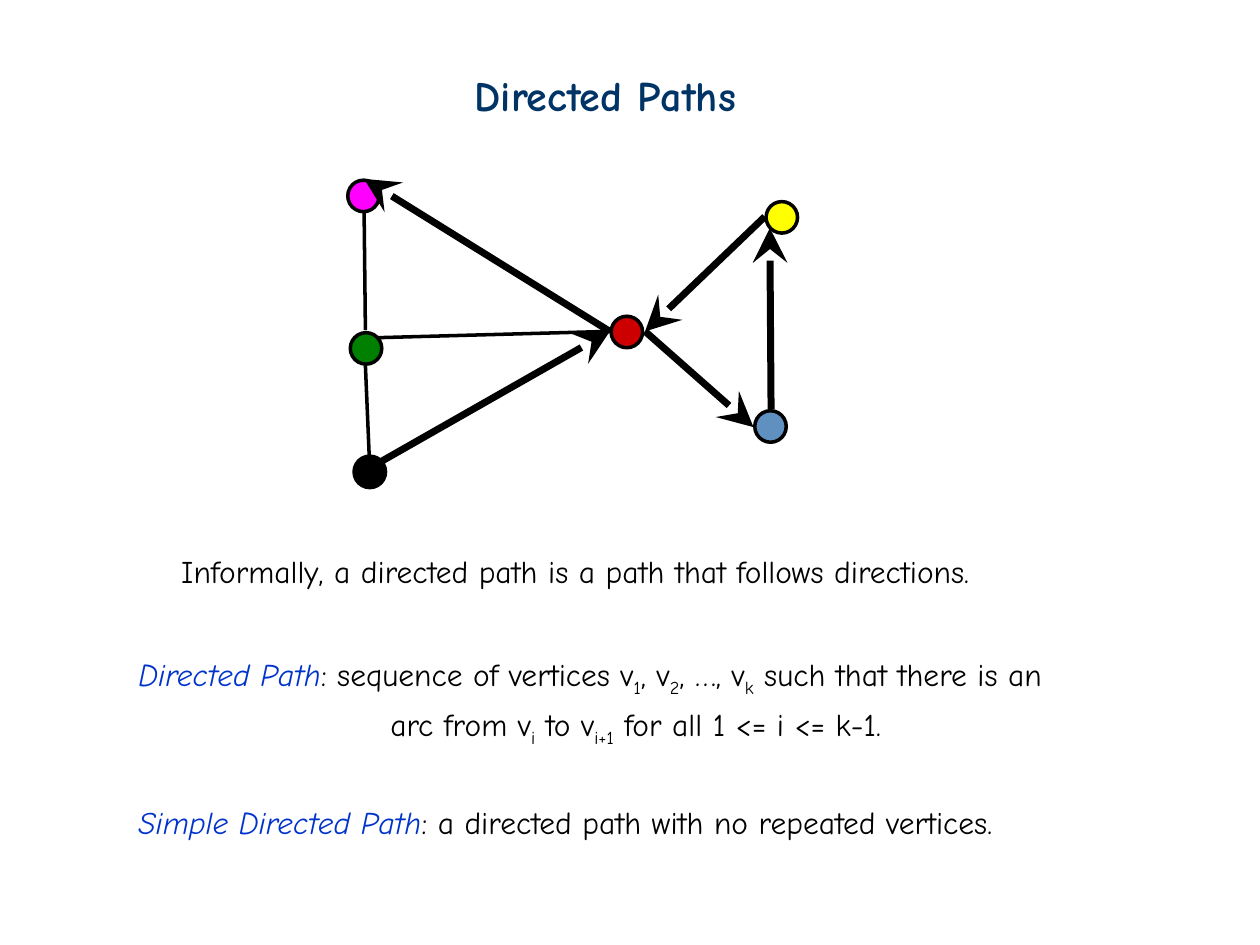
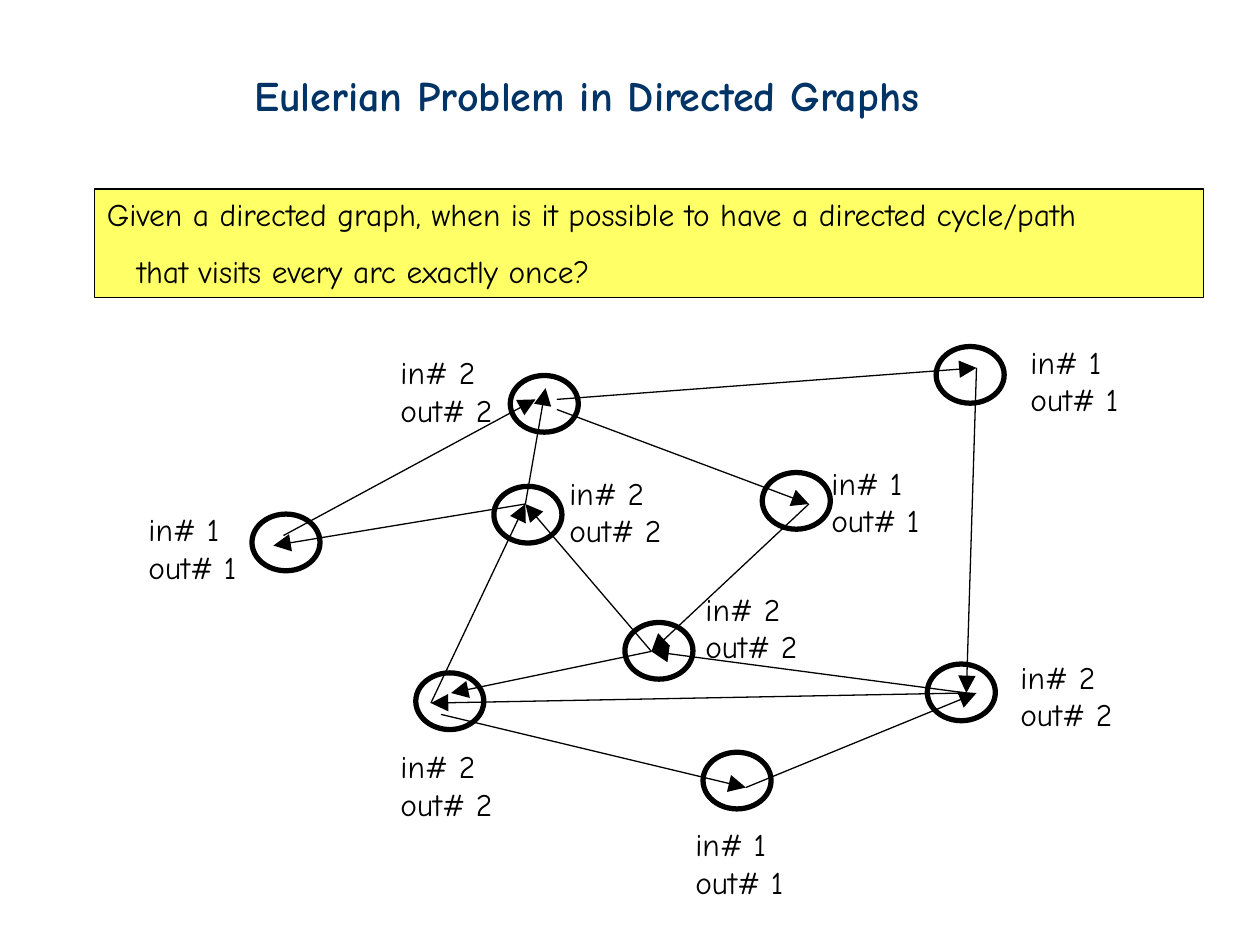
from pptx import Presentation
from pptx.dml.color import RGBColor
from pptx.enum.shapes import MSO_CONNECTOR, MSO_SHAPE
from pptx.enum.text import MSO_ANCHOR, PP_ALIGN
from pptx.oxml.ns import qn
from pptx.util import Inches, Pt
from lxml import etree

STRAIGHT = MSO_CONNECTOR.STRAIGHT
OVAL, RECTANGLE = MSO_SHAPE.OVAL, MSO_SHAPE.RECTANGLE
TOP, LEFT = MSO_ANCHOR.TOP, PP_ALIGN.LEFT

THEME = {
    "font": "Comic Neue",
    "colours": {
        "ink": "000000", "title": "003366", "term": "0033CC", "question": "FFFF66",
        "yellow": "FFFF00", "blue": "6090BF", "green": "008000",
        "magenta": "FF00FF", "black": "000000", "red": "CC0000",
    },
    "text": {
        "title": {"size": Pt(24), "bold": True},
        "term": {"size": Pt(18), "italic": True},
        "body": {"size": Pt(18)},
        "sub": {"size": Pt(18)},
    },
    "text_colour": {"title": "title", "term": "term", "body": "ink", "sub": "ink"},
    "subscript": "-25000",
    "width": {"thin": 0.75, "edge": 2, "ring": 3, "arc": 4},
}

PATHS_TITLE = ("Directed Paths", (3.67, 0.5, 2.61, 0.5))
EULER_TITLE = ("Eulerian Problem in Directed Graphs", (1.92, 0.5, 6.06, 0.5))

PATH_VERTICES = [
    ("yellow", 6.08, 1.6), ("blue", 5.99, 3.26), ("green", 2.78, 2.64),
    ("magenta", 2.76, 1.43), ("black", 2.81, 3.62), ("red", 4.85, 2.51),
]
PATH_VERTEX_SIZE = (0.25, 0.25)
PATH_EDGES = [
    ((2.9, 2.9), (2.93, 3.61)),
    ((3, 2.68), (4.84, 2.63)),
    ((2.89, 1.69), (2.9, 2.62)),
]
PATH_ARCS = [
    ((6.12, 3.25), (6.11, 1.81)),
    ((6.07, 1.72), (5.12, 2.63)),
    ((5.12, 2.63), (5.98, 3.39)),
    ((3.03, 3.66), (4.84, 2.63)),
    ((4.84, 2.63), (2.89, 1.42)),
]

DEFINITIONS = [
    ((1.34, 4.33, 7.24, 0.4), [
        {"runs": [("Informally, a directed path is a path that follows directions.", "body")]},
    ]),
    ((1, 5.15, 8.58, 0.82), [
        {"runs": [("Directed Path", "term"), (": sequence of vertices v", "body"),
                  ("1", "sub"), (", v", "body"), ("2", "sub"), (", …, v", "body"),
                  ("k", "sub"), (" such that there is an", "body")]},
        {"runs": [("arc from v", "body"), ("i", "sub"), (" to v", "body"),
                  ("i+1", "sub"), (" for all 1 <= i <= k-1.", "body")],
         "indent": 2, "format": {"space_before": Pt(4)}},
    ]),
    ((1, 6.32, 8.58, 0.52), [
        {"runs": [("Simple Directed Path", "term"),
                  (": a directed path with no repeated vertices.", "body")]},
    ]),
]

QUESTION = ((0.75, 1.5, 8.8, 0.86), [
    {"runs": [("Given a directed graph, when is it possible to have a directed cycle/path", "body")]},
    {"runs": [("that visits every arc exactly once?", "body")],
     "indent": 0.24, "format": {"line_spacing": 1.5}},
])

EULER_VERTICES = [
    {"at": (4.05, 2.98), "label": (3.08, 2.75), "degree": 2},
    {"at": (3.92, 3.86), "label": (4.42, 3.71), "degree": 2},
    {"at": (2, 4.08), "label": (1.08, 4), "degree": 1},
    {"at": (7.43, 2.75), "label": (8.08, 2.67), "degree": 1},
    {"at": (3.3, 5.34), "label": (3.08, 5.88), "degree": 2},
    {"at": (6.05, 3.75), "label": (6.5, 3.63), "degree": 1},
    {"at": (7.36, 5.27), "label": (8, 5.17), "degree": 2},
    {"at": (4.96, 4.94), "label": (5.5, 4.63), "degree": 2},
    {"at": (5.58, 5.97), "label": (5.42, 6.5), "degree": 1},
]
EULER_VERTEX_SIZE = (0.54, 0.45)
LABEL_SIZE = (1.17, 0.71)
EULER_ARCS = [
    ((2.25, 4.25), (4.25, 3.17)), ((4.42, 3.25), (6.42, 4)),
    ((6.42, 4), (5.17, 5.17)), ((5.17, 5.17), (4.17, 4)),
    ((4.17, 4), (2.17, 4.33)), ((4.42, 3.17), (7.75, 2.92)),
    ((4.17, 4), (4.33, 3.08)), ((7.75, 2.92), (7.67, 5.5)),
    ((7.67, 5.5), (3.42, 5.58)), ((3.42, 5.58), (4.17, 4)),
    ((7.67, 5.5), (5.17, 5.17)), ((5.17, 5.17), (3.58, 5.5)),
    ((3.5, 5.67), (5.92, 6.25)), ((5.92, 6.25), (7.75, 5.5)),
]


def colour(name):
    return RGBColor.from_string(THEME["colours"][name])


def apply(target, values):
    for attribute, value in values.items():
        setattr(target, attribute, value)


def write(shape, paragraphs):
    frame = shape.text_frame
    apply(frame, {"word_wrap": True, "vertical_anchor": TOP})
    for number, content in enumerate(paragraphs):
        paragraph = frame.add_paragraph() if number else frame.paragraphs[0]
        apply(paragraph, {"alignment": LEFT, **content.get("format", {})})
        if "indent" in content:
            paragraph._p.get_or_add_pPr().set("marL", str(Inches(content["indent"])))
        for words, style in content["runs"]:
            run = paragraph.add_run()
            run.text = words
            apply(run.font, {"name": THEME["font"], **THEME["text"][style]})
            run.font.color.rgb = colour(THEME["text_colour"][style])
            if style == "sub":
                run._r.get_or_add_rPr().set("baseline", THEME["subscript"])


def add_text(slide, box, paragraphs):
    write(slide.shapes.add_textbox(*map(Inches, box)), paragraphs)


def add_outlined(shapes, preset, box, width, fill=None):
    shape = shapes.add_shape(preset, *map(Inches, box))
    shape.shadow.inherit = False
    if fill:
        shape.fill.solid()
        shape.fill.fore_color.rgb = colour(fill)
    else:
        shape.fill.background()
    shape.line.color.rgb = colour("ink")
    shape.line.width = Pt(THEME["width"][width])
    return shape


def add_line(shapes, start, end, width, arrow=None):
    line = shapes.add_connector(STRAIGHT, *map(Inches, start + end))
    line.line.color.rgb = colour("ink")
    line.line.width = Pt(THEME["width"][width])
    if arrow:
        etree.SubElement(line.line._get_or_add_ln(), qn("a:tailEnd"),
                         type=arrow, w="lg", len="lg")
    etree.SubElement(line._element.spPr, qn("a:effectLst"))


def add_slide(deck, title):
    slide = deck.slides.add_slide(deck.slide_layouts[6])
    words, box = title
    add_text(slide, box, [{"runs": [(words, "title")]}])
    return slide


def build_paths(deck):
    slide = add_slide(deck, PATHS_TITLE)
    for fill, *corner in PATH_VERTICES:
        add_outlined(slide.shapes, OVAL, (*corner, *PATH_VERTEX_SIZE), "edge", fill)
    for start, end in PATH_EDGES:
        add_line(slide.shapes, start, end, "edge")
    for start, end in PATH_ARCS:
        add_line(slide.shapes, start, end, "arc", "stealth")
    for box, paragraphs in DEFINITIONS:
        add_text(slide, box, paragraphs)


def build_euler(deck):
    slide = add_slide(deck, EULER_TITLE)
    box, paragraphs = QUESTION
    write(add_outlined(slide.shapes, RECTANGLE, box, "thin", "question"), paragraphs)
    graph = slide.shapes.add_group_shape().shapes
    for start, end in EULER_ARCS:
        add_line(graph, start, end, "thin", "triangle")
    for vertex in EULER_VERTICES:
        add_outlined(graph, OVAL, vertex["at"] + EULER_VERTEX_SIZE, "ring")
    for vertex in EULER_VERTICES:
        degrees = [{"runs": [(f"{way}# {vertex['degree']}", "body")]} for way in ("in", "out")]
        add_text(slide, vertex["label"] + LABEL_SIZE, degrees)


def main():
    deck = Presentation()
    apply(deck, {"slide_width": Inches(10), "slide_height": Inches(7.5)})
    build_paths(deck)
    build_euler(deck)
    deck.save("out.pptx")


if __name__ == "__main__":
    main()
